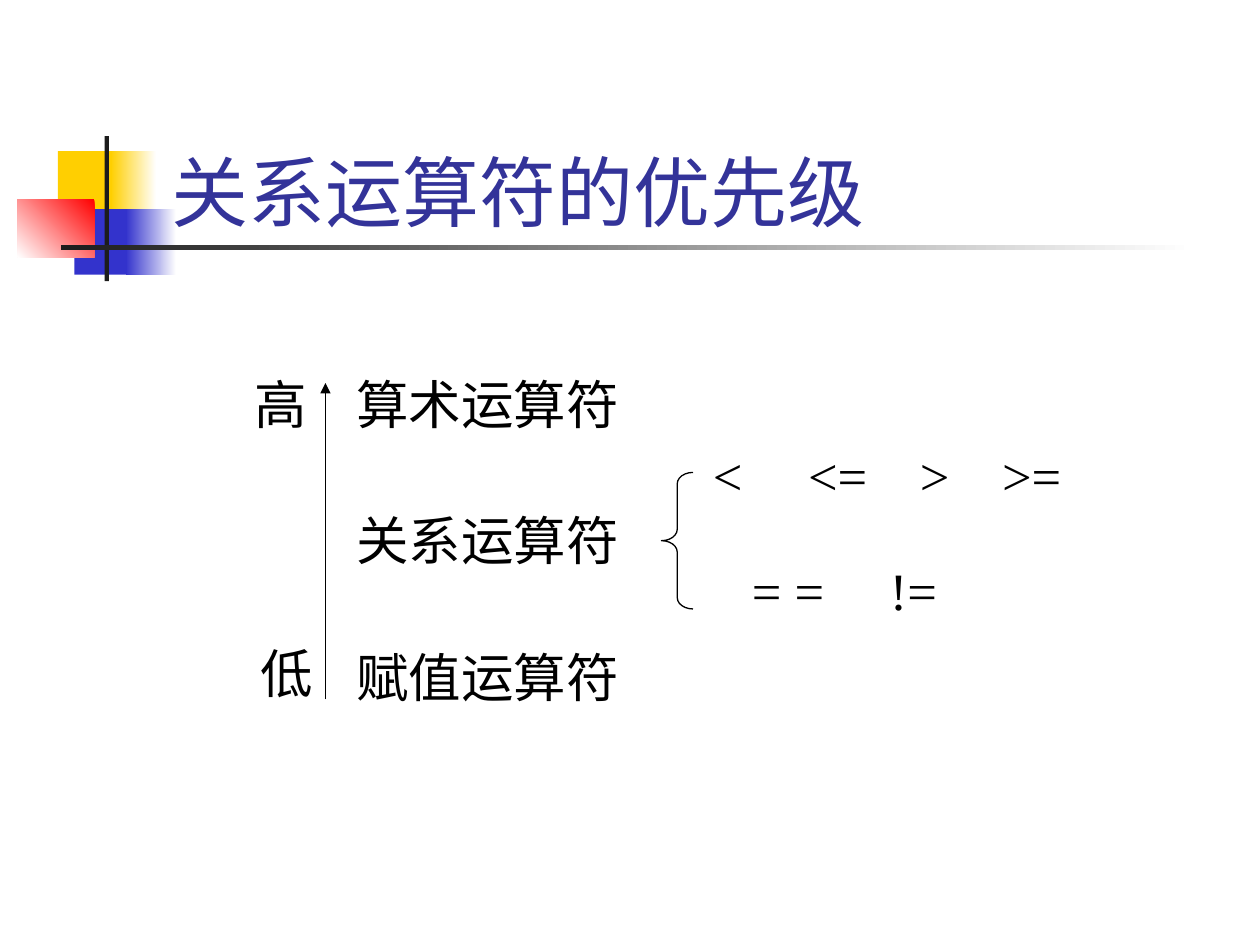
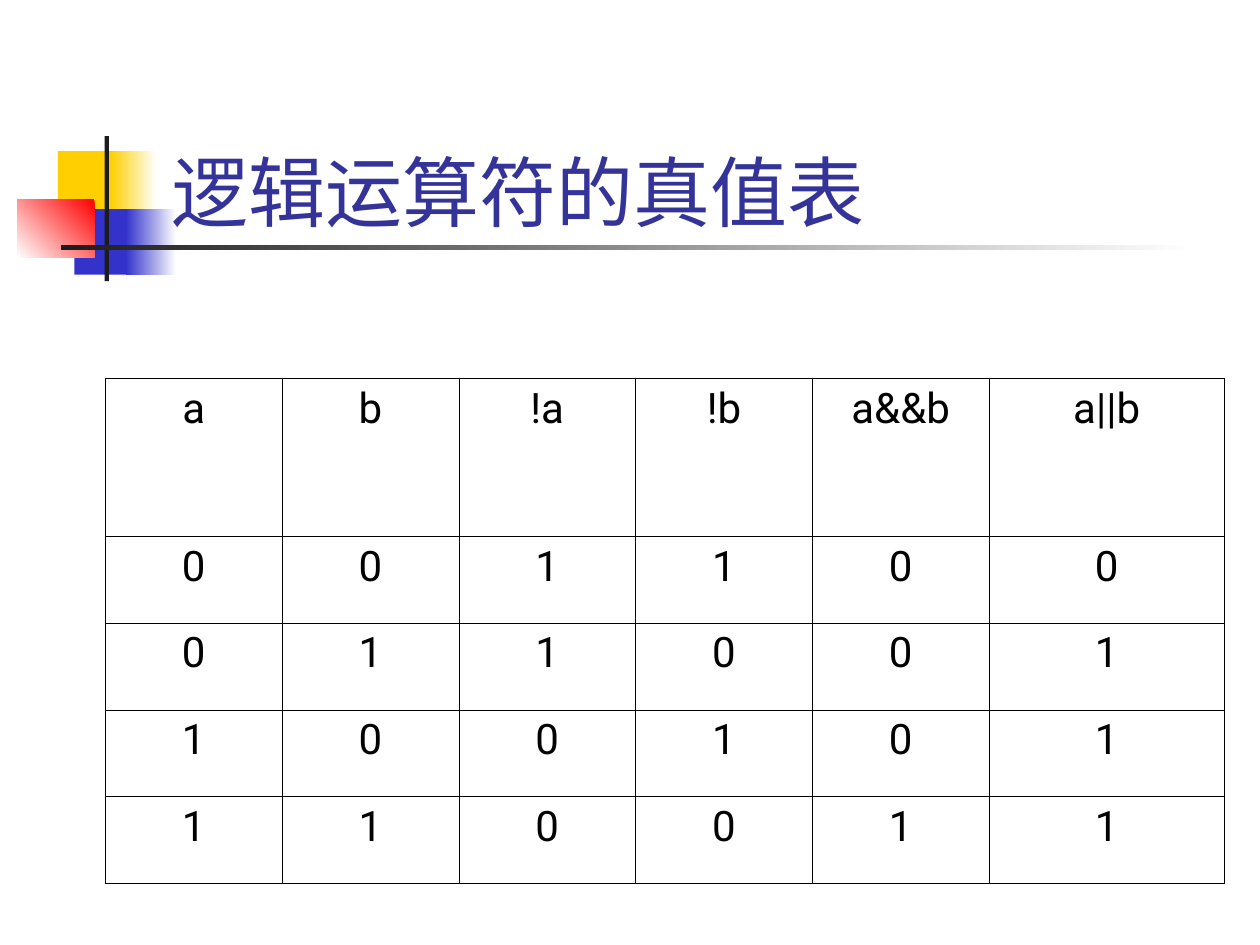
from lxml import etree
from pptx import Presentation
from pptx.dml.color import RGBColor
from pptx.enum.shapes import MSO_CONNECTOR, MSO_SHAPE
from pptx.enum.text import MSO_ANCHOR, MSO_AUTO_SIZE, PP_ALIGN
from pptx.oxml.ns import qn
from pptx.util import Pt

RECTANGLE = MSO_SHAPE.RECTANGLE
LEFT_BRACE = MSO_SHAPE.LEFT_BRACE
STRAIGHT = MSO_CONNECTOR.STRAIGHT
BOTTOM, TOP = MSO_ANCHOR.BOTTOM, MSO_ANCHOR.TOP
LEFT, CENTER = PP_ALIGN.LEFT, PP_ALIGN.CENTER
NO_AUTOFIT = MSO_AUTO_SIZE.NONE

COLORS = {
    "title": "333399",
    "text": "000000",
    "white": "FFFFFF",
    "yellow": "FFCF01",
    "blue": "3333CC",
    "red": "FF0000",
    "bar": "1C1C1C",
}
TITLE_FONT = TABLE_FONT = "Roboto"
LABEL_FONT = "Times New Roman"
TITLE_ONLY = 5

# left, top, width, height, colours (one is solid, two are a gradient), angle
DECORATION = [
    (33.1, 86.4, 34.6, 37.4, ["yellow"], 0),
    (63.4, 86.4, 25.9, 37.4, ["white", "yellow"], 180),
    (42.5, 119.5, 33.1, 37.4, ["blue"], 0),
    (72, 119.5, 28.8, 37.4, ["white", "blue"], 180),
    (10, 113.8, 44, 33.2, ["red", "white"], 225),
    (59.8, 77.8, 2.5, 82.8, ["bar"], 0),
    (34.6, 140.2, 648, 2.4, ["white", "bar"], 180),
]


def rgb(name):
    return RGBColor.from_string(COLORS[name])


class Deck:
    """Holds the presentation, its shared style and the current slide."""

    def __init__(self):
        self.presentation = Presentation()
        self.presentation.slide_width = Pt(720)
        self.presentation.slide_height = Pt(540)
        self.layout = self.presentation.slide_layouts[TITLE_ONLY]
        self.slide = None

    def new_slide(self, title):
        self.slide = self.presentation.slides.add_slide(self.layout)
        shape = self.slide.shapes.title
        shape.left, shape.top = Pt(90.7), Pt(49)
        shape.width, shape.height = Pt(613.4), Pt(90)
        frame = shape.text_frame
        frame.text = title
        frame.auto_size = NO_AUTOFIT
        frame.vertical_anchor = BOTTOM
        self.format(frame.paragraphs[0], TITLE_FONT, 44, "title")

    def format(self, paragraph, font_name, size, color, align=LEFT):
        paragraph.alignment = align
        font = paragraph.font
        font.name, font.size = font_name, Pt(size)
        font.color.rgb = rgb(color)

    def decorate_layout(self):
        """Draw the squares and bars once and move them to the layout."""
        for number, (left, top, width, height, colors, angle) in enumerate(DECORATION):
            shape = self.block(left, top, width, height, colors, angle)
            shape.element.xpath(".//p:cNvPr")[0].set("id", str(100 + number))
            self.layout.shapes.element.append(shape.element)

    def block(self, left, top, width, height, colors, angle):
        shape = self.slide.shapes.add_shape(
            RECTANGLE, Pt(left), Pt(top), Pt(width), Pt(height))
        shape.shadow.inherit = False
        shape.line.fill.background()
        if len(colors) == 1:
            shape.fill.solid()
            shape.fill.fore_color.rgb = rgb(colors[0])
        else:
            shape.fill.gradient()
            shape.fill.gradient_angle = angle
            for stop, color in zip(shape.fill.gradient_stops, colors):
                stop.color.rgb = rgb(color)
        return shape

    def label(self, text, left, top, width, tabs=()):
        box = self.slide.shapes.add_textbox(Pt(left), Pt(top), Pt(width), Pt(43.2))
        frame = box.text_frame
        frame.word_wrap = True
        frame.text = text
        paragraph = frame.paragraphs[0]
        if tabs:
            properties = paragraph._p.get_or_add_pPr()
            tab_list = etree.SubElement(properties, qn("a:tabLst"))
            for position in tabs:
                etree.SubElement(tab_list, qn("a:tab"), pos=str(Pt(position)), algn="l")
        self.format(paragraph, LABEL_FONT, 30, "text")

    def arrow(self, start, end):
        connector = self.slide.shapes.add_connector(
            STRAIGHT, *(Pt(value) for value in (*start, *end)))
        connector.line.color.rgb = rgb("text")
        connector.line.width = Pt(0.75)
        properties = connector.element.spPr
        etree.SubElement(properties.find(qn("a:ln")), qn("a:tailEnd"), type="triangle")
        etree.SubElement(properties, qn("a:effectLst"))

    def brace(self, left, top, width, height):
        shape = self.slide.shapes.add_shape(
            LEFT_BRACE, Pt(left), Pt(top), Pt(width), Pt(height))
        shape.adjustments[0] = 0.36
        shape.shadow.inherit = False
        shape.fill.background()
        shape.line.color.rgb = rgb("text")
        shape.line.width = Pt(0.75)

    def table(self, rows, left, top, widths, heights):
        table = self.slide.shapes.add_table(
            len(rows), len(widths), Pt(left), Pt(top),
            Pt(sum(widths)), Pt(sum(heights))).table
        table.first_row = table.horz_banding = False
        for column, width in zip(table.columns, widths):
            column.width = Pt(width)
        for row, height in zip(table.rows, heights):
            row.height = Pt(height)
        for row_index, values in enumerate(rows):
            for column_index, value in enumerate(values):
                cell = table.cell(row_index, column_index)
                cell.text = value
                cell.vertical_anchor = TOP
                paragraph = cell.text_frame.paragraphs[0]
                paragraph.line_spacing = 0.98
                self.format(paragraph, TABLE_FONT, 24, "text", CENTER)
                self.cell_borders(cell, {
                    "lnL": column_index == 0,
                    "lnR": column_index == len(widths) - 1,
                    "lnT": row_index == 0,
                    "lnB": row_index == len(rows) - 1,
                })
                cell.fill.background()

    def cell_borders(self, cell, sides):
        """Draw each side, heavier where it is on the table's outer edge."""
        properties = cell._tc.get_or_add_tcPr()
        for tag, is_outer in sides.items():
            width = Pt(0.5 if is_outer else 0.23)
            line = etree.SubElement(properties, qn(f"a:{tag}"), w=str(width))
            fill = etree.SubElement(line, qn("a:solidFill"))
            etree.SubElement(fill, qn("a:srgbClr"), val=COLORS["text"])


def precedence_slide(deck):
    deck.new_slide("关系运算符的优先级")
    deck.decorate_layout()
    for index, name in enumerate(["算术运算符", "关系运算符", "赋值运算符"]):
        deck.label(name, 196.6, 208.8 + index * 78.1, 170)
    deck.label("<\t<=\t>\t>=", 400.3, 249.8, 220, tabs=[54.4, 118.3, 165.2])
    deck.label("= =\t!=", 422.6, 315.4, 126, tabs=[78.8])
    deck.label("高", 138.2, 208.8, 46)
    deck.label("低", 141.8, 362.9, 46)
    deck.arrow((186, 399.6), (186, 218.9))
    deck.brace(378, 270, 18, 78)


def truth_table_slide(deck):
    deck.new_slide("逻辑运算符的真值表")
    rows = [
        ["a", "b", "!a", "!b", "a&&b", "a||b"],
        ["0", "0", "1", "1", "0", "0"],
        ["0", "1", "1", "0", "0", "1"],
        ["1", "0", "0", "1", "0", "1"],
        ["1", "1", "0", "0", "1", "1"],
    ]
    deck.table(rows, 60.2, 216.2, [101] * 5 + [134.4], [90.2] + [49.6] * 4)


def main():
    deck = Deck()
    precedence_slide(deck)
    truth_table_slide(deck)
    deck.presentation.save("out.pptx")


if __name__ == "__main__":
    main()
